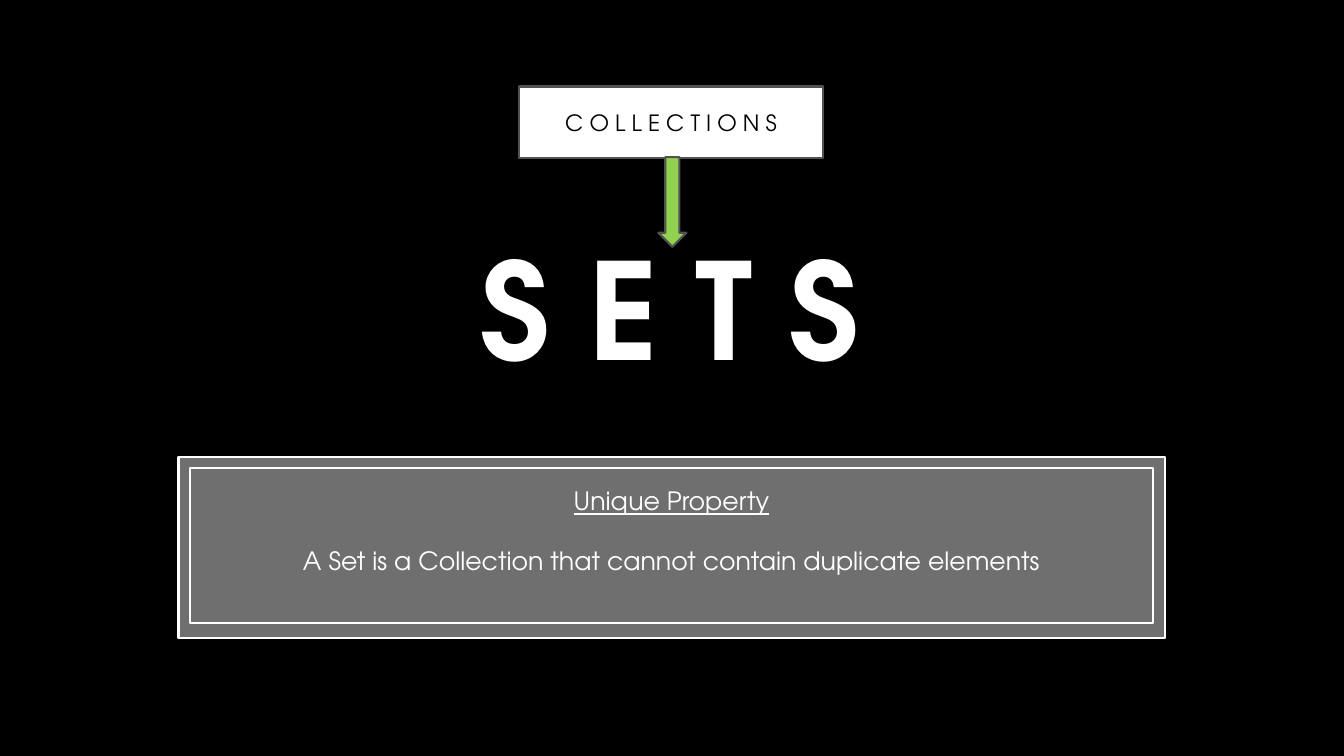
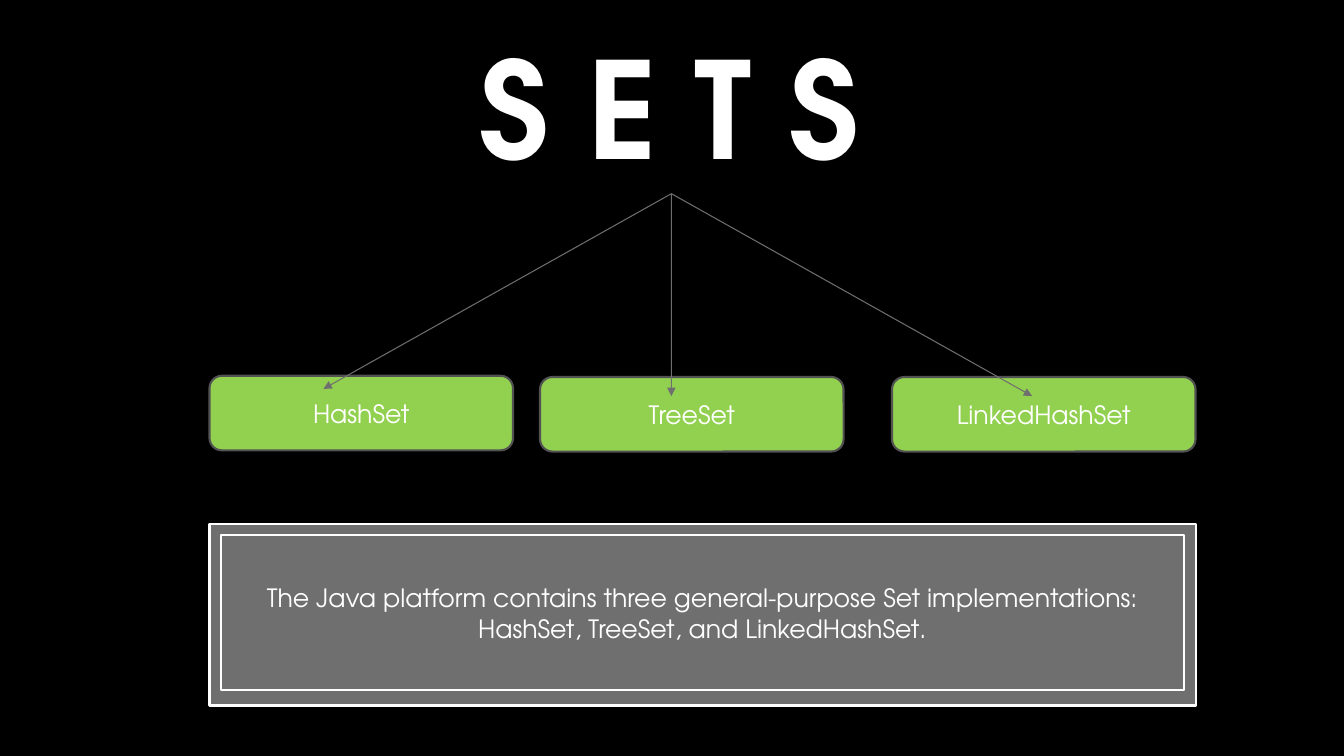
from pptx import Presentation
from pptx.dml.color import RGBColor
from pptx.enum.shapes import MSO_CONNECTOR, MSO_SHAPE
from pptx.enum.text import MSO_ANCHOR, MSO_AUTO_SIZE, PP_ALIGN
from pptx.oxml.ns import qn
from pptx.util import Cm, Pt
from lxml.etree import SubElement

FONT = "TeX Gyre Adventor"
BLACK, WHITE, GREEN = "000000", "FFFFFF", "92D050"
GREY, EDGE = "6F6F6F", "525252"
TITLE_W, TITLE_H = 10.16, 4.37
NODE_W, NODE_H = 7.65, 1.88
PANEL_W, PANEL_H = 24.87, 4.57
FRAME_W, FRAME_H, FRAME_INSET = 24.28, 3.91, 0.28


def paint(fmt, color):
    """Give a fill or a font one solid colour."""
    fill = fmt if hasattr(fmt, "solid") else fmt.fill
    fill.solid()
    fill.fore_color.rgb = RGBColor.from_string(color)


def style_text(p, size, color):
    p.font.name = FONT
    p.font.size = Pt(size)
    paint(p.font, color)


def add_box(s, kind, box, fill, line, lines=(), size=18, color=WHITE):
    """Outlined shape with centred lines of text; box is x, y, w, h in cm."""
    sp = s.shapes.add_shape(kind, *map(Cm, box))
    sp.shadow.inherit = False
    paint(sp.fill, fill)
    paint(sp.line, line)
    sp.line.width = Pt(1.5)
    tf = sp.text_frame
    tf.word_wrap = True
    tf.vertical_anchor = MSO_ANCHOR.MIDDLE
    for i, text in enumerate(lines):
        p = tf.add_paragraph() if i else tf.paragraphs[0]
        p.text = text
        p.alignment = PP_ALIGN.CENTER
        style_text(p, size, color)
    return sp


def add_arrow(s, start, end):
    line = s.shapes.add_connector(MSO_CONNECTOR.STRAIGHT, *map(Cm, start + end))
    paint(line.line, GREY)
    line.line.width = Pt(0.75)
    SubElement(line.line._get_or_add_ln(), qn("a:tailEnd"), type="triangle")
    SubElement(line._element.spPr, qn("a:effectLst"))


def add_title(s, x, y):
    sp = s.shapes.title
    sp.left, sp.top, sp.width, sp.height = map(Cm, (x, y, TITLE_W, TITLE_H))
    tf = sp.text_frame
    tf.text = "S E T S"
    tf.word_wrap = False
    tf.auto_size = MSO_AUTO_SIZE.NONE
    tf.vertical_anchor = MSO_ANCHOR.TOP
    p = tf.paragraphs[0]
    p.alignment = PP_ALIGN.LEFT
    style_text(p, 96, WHITE)
    p.font.bold = True


def add_panel(s, x, y, lines):
    """Grey panel with an inner frame that holds the text."""
    add_box(s, MSO_SHAPE.RECTANGLE, (x, y, PANEL_W, PANEL_H), GREY, WHITE)
    frame = (x + FRAME_INSET, y + FRAME_INSET, FRAME_W, FRAME_H)
    return add_box(s, MSO_SHAPE.RECTANGLE, frame, GREY, WHITE, lines).text_frame


def new_slide(prs):
    return prs.slides.add_slide(prs.slide_layouts[5])


def property_slide(prs):
    s = new_slide(prs)
    add_title(s, 11.86, 5.56)
    # Parent type and the arrow down to the title
    add_box(s, MSO_SHAPE.RECTANGLE, (13.08, 2.18, 7.67, 1.8), WHITE, EDGE,
            ["C O L L E C T I O N S"], 16, BLACK)
    add_box(s, MSO_SHAPE.DOWN_ARROW, (16.59, 3.96, 0.71, 2.26), GREEN, EDGE)
    # Property, set above the middle of its panel
    tf = add_panel(s, 4.5, 11.51, [
        "Unique Property",
        "A Set is a Collection that cannot contain duplicate elements"])
    tf.margin_bottom = Cm(0.89)
    heading = tf.paragraphs[0]
    heading.font.underline = True
    heading.space_after = Pt(21.5)


def implementations_slide(prs):
    s = new_slide(prs)
    x, y = 11.84, 0.51
    add_title(s, x, y)
    add_panel(s, 5.28, 13.21, [
        "The Java platform contains three general-purpose Set implementations: "
        "HashSet, TreeSet, and LinkedHashSet."])
    # Name, box corner and arrow tip within the box
    nodes = [("HashSet", 5.28, 9.47, 2.87, 0.33),
             ("TreeSet", 13.61, 9.5, 3.31, 0.48),
             ("LinkedHashSet", 22.48, 9.5, 3.53, 0.48)]
    root = (x + TITLE_W / 2, y + TITLE_H)
    for name, left, top, dx, dy in nodes:
        add_box(s, MSO_SHAPE.ROUNDED_RECTANGLE, (left, top, NODE_W, NODE_H),
                GREEN, EDGE, [name])
        add_arrow(s, root, (left + dx, top + dy))


def main():
    prs = Presentation()
    prs.slide_width, prs.slide_height = Cm(33.87), Cm(19.05)
    paint(prs.slide_master.background, BLACK)
    property_slide(prs)
    implementations_slide(prs)
    prs.save("out.pptx")


if __name__ == "__main__":
    main()
